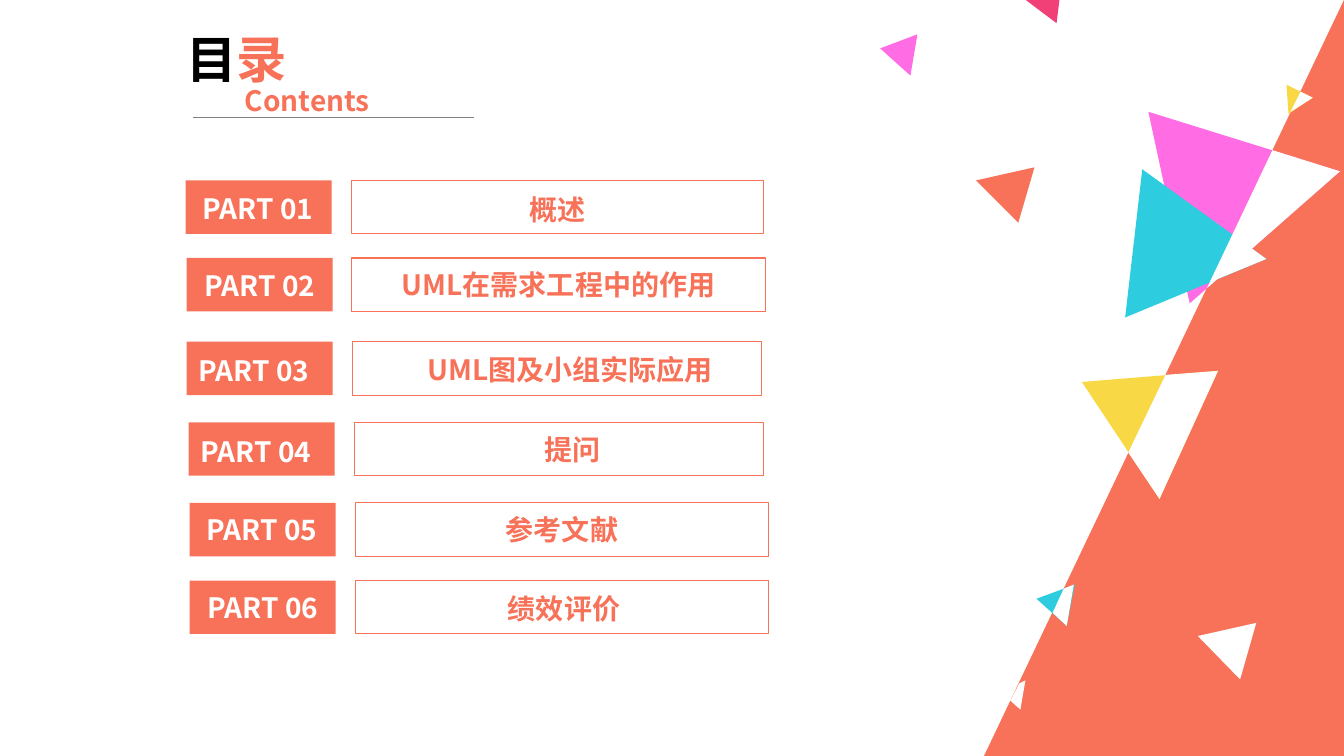
from dataclasses import dataclass

from lxml.etree import SubElement
from pptx import Presentation
from pptx.dml.color import RGBColor
from pptx.enum.shapes import MSO_CONNECTOR as Link, MSO_SHAPE as Kind
from pptx.enum.text import MSO_ANCHOR as Anchor, MSO_AUTO_SIZE as Fit, PP_ALIGN as Align
from pptx.oxml.ns import qn
from pptx.util import Inches, Pt

FONT = "Noto Sans CJK SC"
CORAL = RGBColor(0xF7, 0x72, 0x58)
PINK = RGBColor(0xFF, 0x6C, 0xE4)
CYAN = RGBColor(0x2D, 0xCC, 0xDF)
GOLD = RGBColor(0xF8, 0xD8, 0x45)
ROSE = RGBColor(0xF0, 0x40, 0x77)
WHITE = RGBColor(0xFF, 0xFF, 0xFF)
BLACK = RGBColor(0, 0, 0)
GRAY = RGBColor(0x80, 0x80, 0x80)

TAG_W, ROW_H = 1.45, 0.53
NOTE_W, TEXT_H = 1.4, 0.44


@dataclass
class Spot:
    left: float
    top: float
    width: float


@dataclass
class Row:
    top: float
    tag: float    # left of the filled tag
    note: Spot    # place of the tag's text
    box: Spot     # outlined box
    label: Spot   # place of the chapter name
    text: str


@dataclass
class Shard:
    fill: RGBColor
    points: list[tuple[float, float]]


ROWS = [
    Row(1.79, 1.84, Spot(1.86, 1.85, NOTE_W), Spot(3.49, 1.79, 4.08),
        Spot(4.02, 1.86, 3.03), "概述"),
    Row(2.56, 1.85, Spot(1.88, 2.61, NOTE_W), Spot(3.49, 2.56, 4.1),
        Spot(3.83, 2.6, 3.42), "UML在需求工程中的作用"),
    Row(3.39, 1.85, Spot(1.82, 3.46, NOTE_W), Spot(3.5, 3.39, 4.05),
        Spot(3.55, 3.45, 4.21), "UML图及小组实际应用"),
    Row(4.19, 1.87, Spot(1.84, 4.26, NOTE_W), Spot(3.52, 4.19, 4.05),
        Spot(3.57, 4.24, 4.21), "提问"),
    Row(4.99, 1.88, Spot(1.9, 5.04, NOTE_W), Spot(3.53, 4.99, 4.09),
        Spot(4.06, 5.04, 3.03), "参考文献"),
    Row(5.76, 1.88, Spot(1.91, 5.81, NOTE_W), Spot(3.53, 5.76, 4.09),
        Spot(4.08, 5.82, 3.03), "绩效评价"),
]

SHARDS = [
    Shard(CORAL, [(10.26, 1.66), (10.1, 2.21), (9.68, 1.79)]),
    Shard(PINK, [(11.8, 3.01), (11.39, 1.11), (13.29, 1.7)]),
    Shard(CYAN, [(11.16, 3.15), (11.33, 1.68), (12.56, 2.57)]),
    Shard(CYAN, [(10.28, 5.94), (10.66, 5.8), (10.58, 6.21)]),
    Shard(GOLD, [(10.73, 3.79), (12.08, 3.68), (11.5, 4.95)]),
    Shard(GOLD, [(12.78, 1.13), (12.76, 0.84), (13.02, 0.97)]),
    Shard(PINK, [(8.73, 0.48), (9.1, 0.34), (9.03, 0.75)]),
    Shard(ROSE, [(10.48, 0.23), (10.16, -0.01), (10.53, -0.17)]),
    Shard(WHITE, [(12.46, 6.18), (12.3, 6.74), (11.88, 6.31)]),
    # White parts where shards cross the coral edge
    Shard(WHITE, [(12.62, 1.49), (13.29, 1.7), (11.97, 2.86)]),
    Shard(WHITE, [(12.23, 2.33), (12.56, 2.57), (12, 2.8)]),
    Shard(WHITE, [(10.65, 5.8), (10.58, 6.21), (10.44, 6.08), (10.55, 5.84)]),
    Shard(WHITE, [(10.17, 6.75), (10.12, 7.04), (10.02, 6.95), (10.11, 6.78)]),
    Shard(WHITE, [(12.08, 3.68), (11.5, 4.95), (11.19, 4.49), (11.56, 3.72)]),
    Shard(WHITE, [(12.9, 0.91), (13.02, 0.97), (12.8, 1.11)]),
]


def paint(shape, fill: RGBColor) -> None:
    shape.shadow.inherit = False
    shape.fill.solid()
    shape.fill.fore_color.rgb = fill
    shape.line.fill.background()


def write(shape, runs: list[tuple[str, RGBColor]], size: int, align: Align) -> None:
    frame = shape.text_frame
    frame.word_wrap = True
    frame.auto_size = Fit.SHAPE_TO_FIT_TEXT
    frame.vertical_anchor = Anchor.TOP
    para = frame.paragraphs[0]
    para.alignment = align
    for text, color in runs:
        run = para.add_run()
        run.text = text
        font = run.font
        font.name, font.size, font.bold = FONT, Pt(size), True
        font.color.rgb = color
        SubElement(run._r.get_or_add_rPr(), qn("a:ea"), typeface=FONT)


def add_text(slide, spot: Spot, text: str, color: RGBColor,
             align: Align = Align.CENTER) -> None:
    area = slide.shapes.add_textbox(Inches(spot.left), Inches(spot.top),
                                    Inches(spot.width), Inches(TEXT_H))
    write(area, [(text, color)], 20, align)


def add_head(slide) -> None:
    title = slide.shapes.title
    title.left, title.top = Inches(1.75), Inches(0.23)
    title.width, title.height = Inches(1.57), Inches(0.71)
    write(title, [("目", BLACK), ("录", CORAL)], 36, Align.LEFT)
    rule = slide.shapes.add_connector(Link.STRAIGHT, Inches(1.91), Inches(1.16),
                                      Inches(4.7), Inches(1.16))
    rule.line.color.rgb = GRAY
    rule.line.width = Pt(0.5)
    SubElement(rule._element.spPr, qn("a:effectLst"))
    add_text(slide, Spot(2.33, 0.78, 1.57), "Contents", CORAL, Align.LEFT)


def add_row(slide, num: int, row: Row) -> None:
    box = slide.shapes.add_shape(Kind.RECTANGLE, Inches(row.box.left), Inches(row.box.top),
                                 Inches(row.box.width), Inches(ROW_H))
    box.shadow.inherit = False
    box.fill.background()
    box.line.color.rgb = CORAL
    box.line.width = Pt(0.75)
    tag = slide.shapes.add_shape(Kind.RECTANGLE, Inches(row.tag), Inches(row.top),
                                 Inches(TAG_W), Inches(ROW_H))
    paint(tag, CORAL)
    add_text(slide, row.label, row.text, CORAL)
    add_text(slide, row.note, f"PART {num:02}", WHITE)


def add_shard(slide, shard: Shard) -> None:
    first, *rest = [(Inches(x), Inches(y)) for x, y in shard.points]
    pen = slide.shapes.build_freeform(*first)
    pen.add_line_segments(rest, close=True)
    paint(pen.convert_to_shape(), shard.fill)


def main() -> None:
    deck = Presentation()
    deck.slide_width, deck.slide_height = Inches(13.33), Inches(7.5)
    slide = deck.slides.add_slide(deck.slide_layouts[5])

    # Coral corner
    corner = slide.shapes.add_shape(Kind.ISOSCELES_TRIANGLE, Inches(9.76), 0,
                                    Inches(3.57), Inches(7.5))
    corner.adjustments[0] = 1
    paint(corner, CORAL)

    # Heading and chapters
    add_head(slide)
    for num, row in enumerate(ROWS, 1):
        add_row(slide, num, row)

    # Scattered shards
    for shard in SHARDS:
        add_shard(slide, shard)

    deck.save("out.pptx")


if __name__ == "__main__":
    main()
